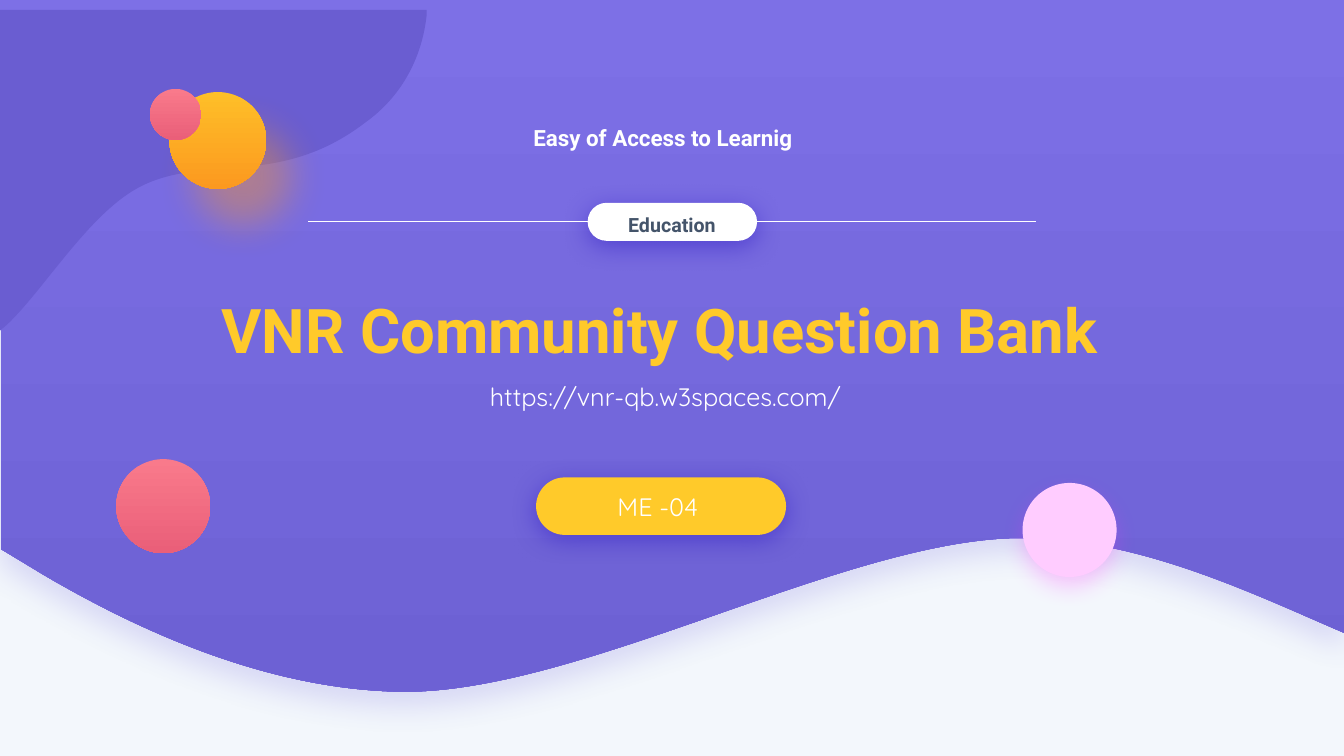
from dataclasses import dataclass
from typing import Optional

from lxml import etree
from pptx import Presentation
from pptx import util as u
from pptx.dml.color import RGBColor
from pptx.enum import shapes, text
from pptx.oxml.ns import qn

COLORS = {
    "page": "F3F7FC", "wave_top": "7D70E6", "wave_bottom": "6D61D4",
    "blob": "6A5DD1", "sun_top": "FEBF28", "sun_bottom": "FC991F",
    "coral_top": "F97A8B", "coral_bottom": "EA5F79", "pink": "FFCCFF",
    "yellow": "FFCA2A", "white": "FFFFFF", "slate": "44546A",
    "wave_shadow": "7367DB", "pill_shadow": "3A27C7", "pink_shadow": "FF2DFF",
}


@dataclass(frozen=True)
class Shadow:
    color: str
    opacity: int  # percent
    blur: float  # points
    distance: float  # points
    angle: int  # degrees, clockwise


@dataclass(frozen=True)
class Form:
    """A preset shape or outline; two fill colours run from top to bottom."""
    fill: tuple[str, ...]
    shadow: Optional[Shadow] = None
    left: float = 0
    top: float = 0
    width: float = 0
    height: float = 0
    rounding: float = 0.5


@dataclass(frozen=True)
class Label:
    words: str
    size: int
    font: str
    color: str
    bold: bool = False
    line_height: Optional[int] = 18
    left: float = 0
    top: float = 0
    width: float = 0
    height: float = 0


PILL_SHADOW = Shadow("pill_shadow", 58, 18, 4, 90)
CORAL = ("coral_top", "coral_bottom")

# Outlines in cm: two numbers make a line, six make a Bézier curve
WAVE = [
    (0, 0), (33.88, 0), (33.88, 15.95),
    (31.57, 14.96, 28.58, 13.49, 25.55, 13.56),
    (21.16, 13.67, 14.53, 17.5, 10.08, 17.43),
    (6.76, 17.37, 3.56, 15.93, 1.09, 14.48),
    (0.03, 13.84), (0.03, 5.94), (0, 5.94),
]
BLOB = [
    (0, 0.25), (10.75, 0.25), (10.75, 0.41),
    (10.64, 1.37, 10.19, 2.39, 9.19, 3.1),
    (6.99, 4.78, 5.08, 3.84, 3.45, 4.75),
    (2.21, 5.44, 1.09, 7.32, 0.18, 8.18), (0, 8.33),
]
OUTLINES = [
    (WAVE, Form(("wave_top", "wave_bottom"), Shadow("wave_shadow", 22, 22, 11, 90))),
    (BLOB, Form(("blob",))),
]
PANEL = Form(("page",), None, 0, 0, 33.87, 19.05, 0)
CIRCLES = [
    Form(("sun_top", "sun_bottom"), Shadow("sun_bottom", 40, 28, 31, 55), 4.27, 2.32, 2.44, 2.44),
    Form(CORAL, None, 3.78, 2.24, 1.29, 1.29),
    Form(CORAL, None, 2.93, 11.57, 2.37, 2.37),
    Form(("pink",), Shadow("pink_shadow", 24, 16, 7, 90), 25.77, 12.17, 2.37, 2.37),
]
BUTTON = Form(("yellow",), PILL_SHADOW, 13.51, 12.03, 6.3, 1.45)
BADGE = Form(("white",), PILL_SHADOW, 14.81, 5.11, 4.27, 0.96)

TITLE = Label("VNR Community Question Bank", 44, "Roboto", "yellow", True, None,
              3.75, 7.24, 25.78, 2.13)
BUTTON_LABEL = Label("ME -04", 18, "Quicksand", "white", line_height=None)
LABELS = [
    Label("https://vnr-qb.w3spaces.com/", 18, "Quicksand", "white", False, 18,
          5.29, 9.61, 22.96, 0.89),
    Label("Easy of Access to Learnig", 16, "Roboto", "white", True, 18, 11.41, 3.05, 10.59, 0.89),
    Label("Education", 14, "Roboto", "slate", True, 18, 11.64, 5.21, 10.59, 0.86),
]


def rgb(name: str) -> RGBColor:
    return RGBColor.from_string(COLORS[name])


def box(item) -> tuple:
    return tuple(u.Cm(value) for value in (item.left, item.top, item.width, item.height))


def style(shape, form: Form) -> None:
    if len(form.fill) == 2:
        shape.fill.gradient()
        shape.fill.gradient_angle = 270
        for position, stop in enumerate(shape.fill.gradient_stops):
            stop.color.rgb = rgb(form.fill[position])
            stop.position = position
    else:
        shape.fill.solid()
        shape.fill.fore_color.rgb = rgb(form.fill[0])
    shape.line.fill.background()
    shape.shadow.inherit = False
    if form.shadow:
        shadow = form.shadow
        effects = shape._element.spPr.find(qn("a:effectLst"))
        outer = etree.SubElement(
            effects, qn("a:outerShdw"), blurRad=str(u.Pt(shadow.blur)),
            dist=str(u.Pt(shadow.distance)), dir=str(shadow.angle * 60000),
            algn="ctr", rotWithShape="0")
        color = etree.SubElement(outer, qn("a:srgbClr"), val=COLORS[shadow.color])
        etree.SubElement(color, qn("a:alpha"), val=str(shadow.opacity * 1000))


def add_form(slide, kind, form: Form):
    shape = slide.shapes.add_shape(kind, *box(form))
    if kind == shapes.MSO_SHAPE.ROUNDED_RECTANGLE:
        shape.adjustments[0] = form.rounding
    style(shape, form)
    return shape


def add_outline(slide, outline: list, form: Form) -> None:
    corners = [(u.Cm(part[-2]), u.Cm(part[-1])) for part in outline]
    builder = slide.shapes.build_freeform(*corners[0])
    builder.add_line_segments(corners[1:], close=True)
    shape = builder.convert_to_shape()
    # Bend the segments that have control points
    segments = list(shape._element.iter(qn("a:lnTo")))
    for segment, part in zip(segments, outline[1:]):
        if len(part) == 6:
            segment.tag = qn("a:cubicBezTo")
            for index in (0, 1):
                x, y = part[2 * index:2 * index + 2]
                point = etree.Element(qn("a:pt"), x=str(u.Cm(x) - shape.left),
                                      y=str(u.Cm(y) - shape.top))
                segment.insert(index, point)
    style(shape, form)


def write(shape, label: Label, anchor=text.MSO_ANCHOR.TOP) -> None:
    frame = shape.text_frame
    frame.text = label.words
    frame.word_wrap = True
    frame.auto_size = text.MSO_AUTO_SIZE.NONE
    frame.vertical_anchor = anchor
    paragraph = frame.paragraphs[0]
    paragraph.alignment = text.PP_ALIGN.CENTER
    paragraph.line_spacing = u.Pt(label.line_height) if label.line_height else 1.0
    font = paragraph.runs[0].font
    font.size, font.name, font.bold = u.Pt(label.size), label.font, label.bold
    font.color.rgb = rgb(label.color)


def add_rule(slide, badge, side: int, start: float, end: float) -> None:
    middle = u.Cm(BADGE.top + BADGE.height / 2)
    rule = slide.shapes.add_connector(
        shapes.MSO_CONNECTOR.STRAIGHT, u.Cm(start), middle, u.Cm(end), middle)
    rule.begin_connect(badge, side)
    rule.line.color.rgb = rgb("white")
    rule.line.width = u.Pt(0.5)
    etree.SubElement(rule._element.spPr, qn("a:effectLst"))


def main() -> None:
    presentation = Presentation()
    presentation.slide_width, presentation.slide_height = u.Cm(33.87), u.Cm(19.05)
    slide = presentation.slides.add_slide(presentation.slide_layouts[5])
    slide.background.fill.solid()
    slide.background.fill.fore_color.rgb = rgb("page")

    # Backdrop and circles
    add_form(slide, shapes.MSO_SHAPE.ROUNDED_RECTANGLE, PANEL)
    for outline, form in OUTLINES:
        add_outline(slide, outline, form)
    for circle in CIRCLES:
        add_form(slide, shapes.MSO_SHAPE.OVAL, circle)

    # Button, and badge between two rules
    button = add_form(slide, shapes.MSO_SHAPE.ROUNDED_RECTANGLE, BUTTON)
    write(button, BUTTON_LABEL, text.MSO_ANCHOR.MIDDLE)
    button.text_frame.margin_right = u.Cm(0.41)
    badge = add_form(slide, shapes.MSO_SHAPE.ROUNDED_RECTANGLE, BADGE)
    add_rule(slide, badge, 3, BADGE.left + BADGE.width, 26.11)
    add_rule(slide, badge, 1, BADGE.left, 7.77)

    # Title, brought in front of the backdrop
    title = slide.shapes.title
    title.left, title.top, title.width, title.height = box(TITLE)
    write(title, TITLE)
    slide.shapes._spTree.append(title._element)

    # Other text
    for label in LABELS:
        write(slide.shapes.add_textbox(*box(label)), label)

    presentation.save("out.pptx")


if __name__ == "__main__":
    main()
